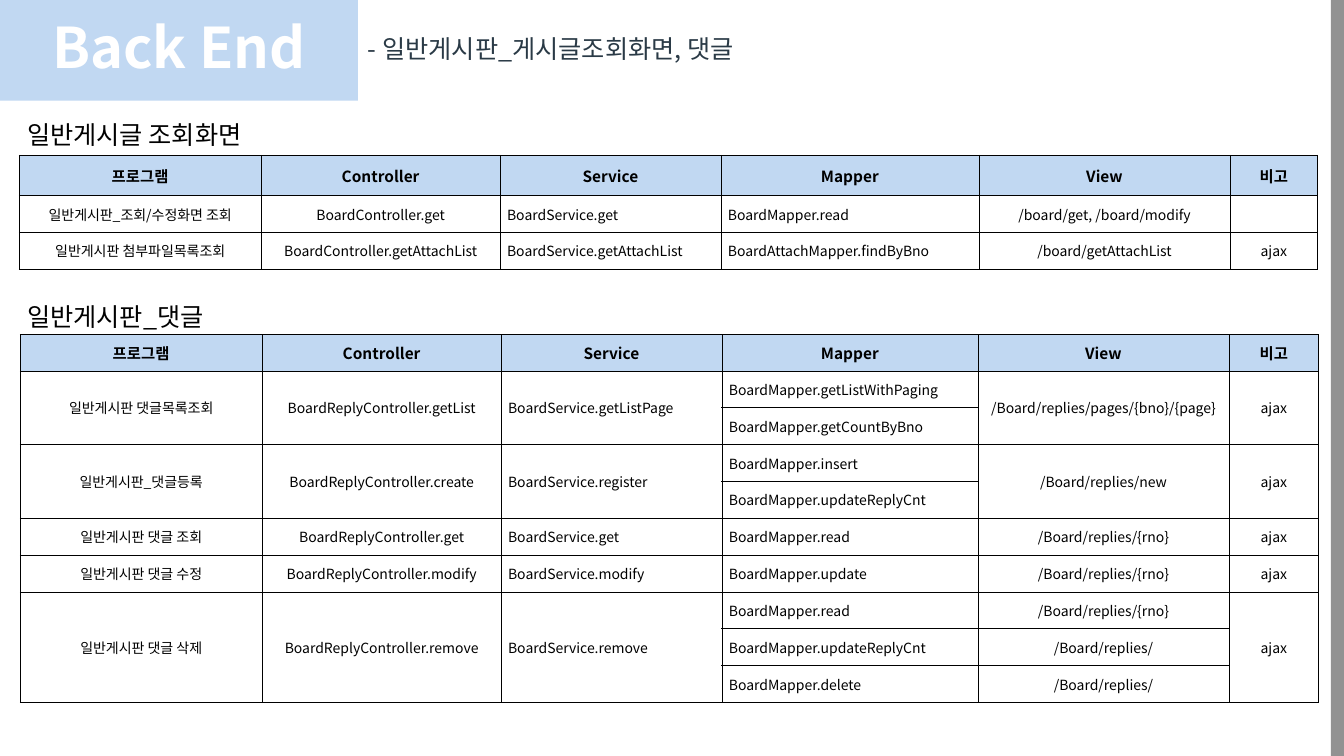
from lxml import etree
from pptx import Presentation
from pptx.dml.color import RGBColor
from pptx.enum import shapes, text
from pptx.oxml import ns
from pptx.util import Inches, Pt

FONT = "Noto Sans CJK KR"
BLUE = RGBColor(0xC1, 0xD8, 0xF2)
GRAY = RGBColor(0x92, 0x92, 0x92)
SLATE = RGBColor(0x2A, 0x3A, 0x46)
WHITE = RGBColor(0xFF, 0xFF, 0xFF)
BLACK = RGBColor(0, 0, 0)
LEFT, CENTER = text.PP_ALIGN.LEFT, text.PP_ALIGN.CENTER

# Content: None continues the cell above it
HEADER = ("프로그램", "Controller", "Service", "Mapper", "View", "비고")
ALIGNMENTS = (CENTER, CENTER, LEFT, LEFT, CENTER, CENTER)
VIEW_ROWS = [
    ("일반게시판_조회/수정화면 조회", "BoardController.get", "BoardService.get",
     "BoardMapper.read", "/board/get, /board/modify", ""),
    ("일반게시판 첨부파일목록조회", "BoardController.getAttachList", "BoardService.getAttachList",
     "BoardAttachMapper.findByBno", "/board/getAttachList", "ajax"),
]
REPLY_ROWS = [
    ("일반게시판 댓글목록조회", "BoardReplyController.getList", "BoardService.getListPage",
     "BoardMapper.getListWithPaging", "/Board/replies/pages/{bno}/{page}", "ajax"),
    (None, None, None, "BoardMapper.getCountByBno", None, None),
    ("일반게시판_댓글등록", "BoardReplyController.create", "BoardService.register",
     "BoardMapper.insert", "/Board/replies/new", "ajax"),
    (None, None, None, "BoardMapper.updateReplyCnt", None, None),
    ("일반게시판 댓글 조회", "BoardReplyController.get", "BoardService.get",
     "BoardMapper.read", "/Board/replies/{rno}", "ajax"),
    ("일반게시판 댓글 수정", "BoardReplyController.modify", "BoardService.modify",
     "BoardMapper.update", "/Board/replies/{rno}", "ajax"),
    ("일반게시판 댓글 삭제", "BoardReplyController.remove", "BoardService.remove",
     "BoardMapper.read", "/Board/replies/{rno}", "ajax"),
    (None, None, None, "BoardMapper.updateReplyCnt", "/Board/replies/", None),
    (None, None, None, "BoardMapper.delete", "/Board/replies/", None),
]
# heading, heading top, table box, column widths, header height, rows
SECTIONS = [
    ("일반게시글 조회화면", 1.13, (0.19, 1.54, 12.88, 1.13),
     (2.4, 2.37, 2.19, 2.56, 2.49, 0.87), 0.4, VIEW_ROWS),
    ("일반게시판_댓글", 2.94, (0.2, 3.32, 12.86, 3.65),
     (2.4, 2.37, 2.19, 2.54, 2.49, 0.89), 0.36, REPLY_ROWS),
]


def write(frame, words, size=18, color=BLACK, bold=False, align=LEFT, spacing=None):
    paragraph = frame.paragraphs[0]
    paragraph.alignment = align
    if spacing:
        paragraph.line_spacing = spacing
    if not words:  # keeps an empty cell as low as its row
        etree.SubElement(paragraph._p, ns.qn("a:endParaRPr"), sz=str(size * 100))
        return
    run = paragraph.add_run()
    run.text = words
    run.font.size, run.font.bold, run.font.name = Pt(size), bold, FONT
    run.font.color.rgb = color
    etree.SubElement(run._r.get_or_add_rPr(), ns.qn("a:ea"), typeface=FONT)


def add_block(box, fill):
    block = slide.shapes.add_shape(shapes.MSO_SHAPE.RECTANGLE, *map(Inches, box))
    block.shadow.inherit = False
    block.fill.solid()
    block.fill.fore_color.rgb = fill
    block.line.fill.background()
    return block


def add_words(box, words, anchor=text.MSO_ANCHOR.TOP, **style):
    frame = slide.shapes.add_textbox(*map(Inches, box)).text_frame
    frame.word_wrap = True
    frame.vertical_anchor = anchor
    write(frame, words, **style)


def format_cell(cell, fill):
    cell.vertical_anchor = text.MSO_ANCHOR.MIDDLE
    cell.margin_left = cell.margin_right = Inches(0.07)
    cell.margin_top = cell.margin_bottom = Inches(0.04)
    properties = cell._tc.get_or_add_tcPr()
    for side in ("lnL", "lnR", "lnT", "lnB"):
        border = etree.SubElement(properties, ns.qn(f"a:{side}"), w=str(Pt(0.56)))
        paint = etree.SubElement(border, ns.qn("a:solidFill"))
        etree.SubElement(paint, ns.qn("a:srgbClr"), val=str(BLACK))
    cell.fill.solid()
    cell.fill.fore_color.rgb = fill


def add_program_table(box, widths, header_height, rows):
    grid = [HEADER] + rows
    table = slide.shapes.add_table(len(grid), len(HEADER), *map(Inches, box)).table
    table.first_row = table.horz_banding = False
    for column, width in zip(table.columns, widths):
        column.width = Inches(width)
    row_height = (box[3] - header_height) / len(rows)
    for r, values in enumerate(grid):
        table.rows[r].height = Inches(row_height if r else header_height)
        for c, words in enumerate(values):
            cell = table.cell(r, c)
            format_cell(cell, WHITE if r else BLUE)
            if words is None:
                continue
            write(cell.text_frame, words, size=10 if r else 11, bold=r == 0,
                  align=ALIGNMENTS[c] if r else CENTER)
            last = r
            while last + 1 < len(grid) and grid[last + 1][c] is None:
                last += 1
            if last > r:
                cell.merge(table.cell(last, c))


prs = Presentation()
prs.slide_width, prs.slide_height = Inches(13.33), Inches(7.5)
slide = prs.slides.add_slide(prs.slide_layouts[6])

# Side bar and title band
add_block((13.2, 0, 0.13, 7.5), GRAY)
title = add_block((0, 0, 3.55, 1), BLUE).text_frame
title.vertical_anchor = text.MSO_ANCHOR.MIDDLE
write(title, "Back End", size=40, color=WHITE, bold=True, align=CENTER, spacing=0.9)
add_words((3.55, 0, 9.65, 1), "- 일반게시판_게시글조회화면, 댓글",
          anchor=text.MSO_ANCHOR.MIDDLE, color=SLATE, spacing=0.9)

# Headings and tables
for heading, top, box, widths, header_height, rows in SECTIONS:
    add_words((0.17, top, 3.38, 0.4), heading)
    add_program_table(box, widths, header_height, rows)

prs.save("out.pptx")
